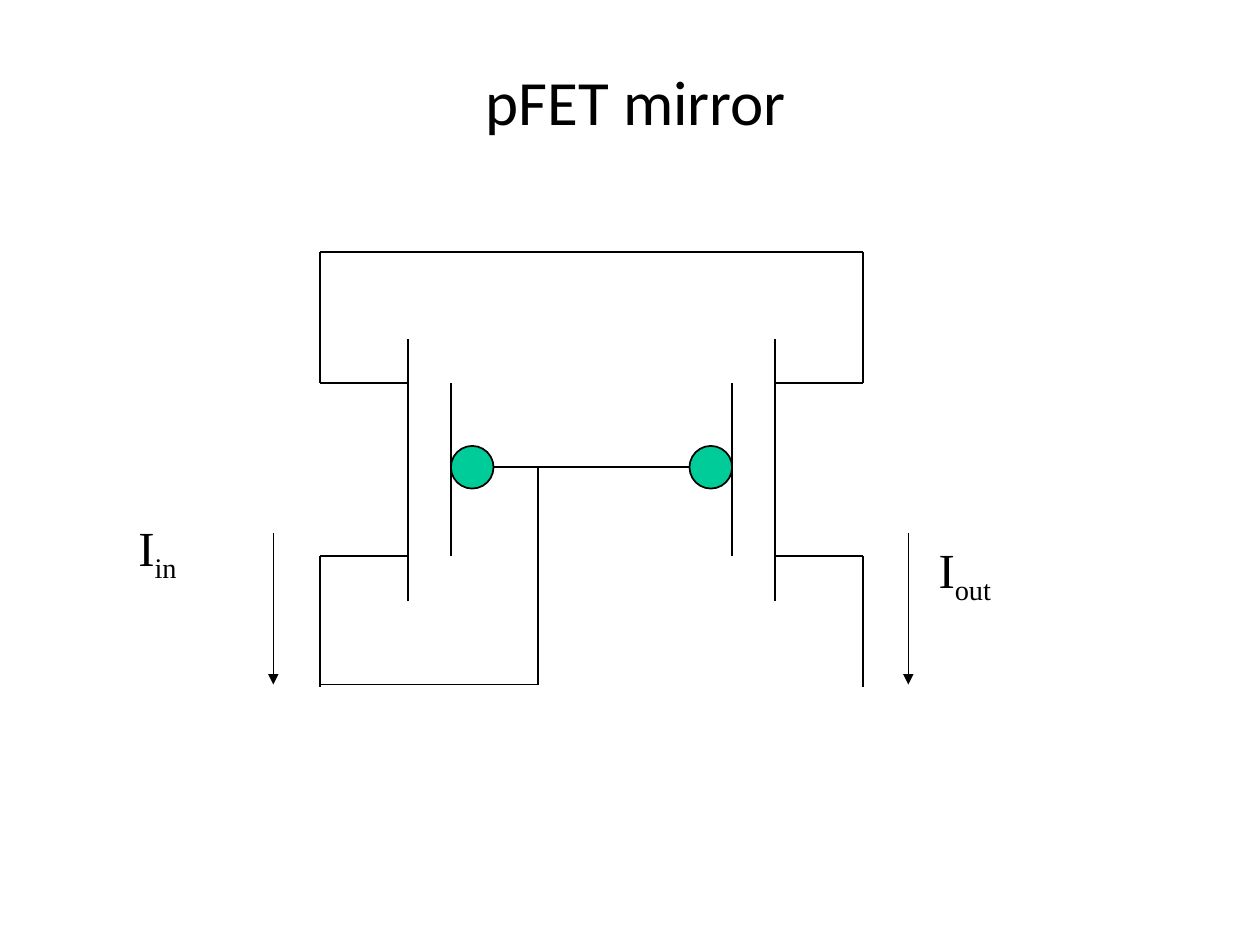
from lxml import etree
from pptx import Presentation
from pptx.dml.color import RGBColor
from pptx.enum.shapes import MSO_CONNECTOR, MSO_SHAPE
from pptx.enum.text import MSO_ANCHOR, PP_ALIGN
from pptx.oxml.ns import qn
from pptx.util import Cm, Pt

LINE = MSO_CONNECTOR.STRAIGHT
OVAL = MSO_SHAPE.OVAL
MIDDLE = MSO_ANCHOR.MIDDLE
CENTER = PP_ALIGN.CENTER
INK = {"black": "000000", "gate": "00CC99"}


def color(name):
    """Return the named colour."""
    return RGBColor.from_string(INK[name])


def style(font, face, size):
    """Set face, size and black ink on a font."""
    font.name, font.size = face, Pt(size)
    font.color.rgb = color("black")


def wire(slide, start, end, width=1, arrow=False):
    """Draw a straight wire between two points in centimetres."""
    line = slide.shapes.add_connector(LINE, *map(Cm, (*start, *end)))
    line.line.color.rgb = color("black")
    line.line.width = Pt(width)
    if arrow:
        etree.SubElement(line.line._get_or_add_ln(), qn("a:tailEnd"), type="triangle")
    etree.SubElement(line._element.spPr, qn("a:effectLst"))


def heading(slide, text, left, top, width, height):
    """Place and format the title."""
    title = slide.shapes.title
    title.left, title.top, title.width, title.height = map(Cm, (left, top, width, height))
    frame = title.text_frame
    frame.text = text
    frame.vertical_anchor = MIDDLE
    frame.paragraphs[0].alignment = CENTER
    style(frame.paragraphs[0].runs[0].font, "Calibri", 36)


def pfet(slide, left, top, side):
    """Draw a pFET inward from its outer edge; side is 1 or -1."""
    rail, body, gate, lead, end = (left + side * x for x in (0, 1.78, 2.64, 3.5, 4.39))
    head, source, mid, drain, foot, base = (
        top + y for y in (1.75, 2.64, 4.34, 6.13, 7.04, 8.76))
    wire(slide, (rail, source), (rail, top))
    wire(slide, (rail, source), (body, source))
    wire(slide, (body, foot), (body, head))
    wire(slide, (body, drain), (rail, drain))
    wire(slide, (rail, base), (rail, drain))
    wire(slide, (gate, drain), (gate, source))
    wire(slide, (lead, mid), (end, mid))
    size = abs(lead - gate)
    dot = slide.shapes.add_shape(
        OVAL, Cm(min(gate, lead)), Cm(mid - size / 2), Cm(size), Cm(size))
    dot.shadow.inherit = False
    dot.fill.solid()
    dot.fill.fore_color.rgb = color("gate")
    dot.line.color.rgb = color("black")
    dot.line.width = Pt(1)


def links(slide, left, top, right):
    """Join the two transistors by supply, gate and diode wires."""
    tap, mid, base = left + 4.39, top + 4.34, top + 8.72
    wire(slide, (right, top), (left, top))
    wire(slide, (tap, mid), (right - 4.39, mid))
    wire(slide, (tap, base), (tap, mid))
    wire(slide, (tap, base), (left, base))


def current(slide, name, left, top, width, arrow):
    """Label a current and draw its arrow at the given x."""
    wire(slide, (arrow, 10.75), (arrow, 13.8), 0.75, True)
    box = slide.shapes.add_textbox(Cm(left), Cm(top), Cm(width), Cm(2.97))
    box.text_frame.word_wrap = True
    para = box.text_frame.paragraphs[0]
    for text in ("I", name):
        run = para.add_run()
        run.text = text
        style(run.font, "Times New Roman", 28)
    run.font._element.set("baseline", "-25000")


def main():
    """Build the slide and save it."""
    deck = Presentation()
    deck.slide_width, deck.slide_height = Cm(25.4), Cm(19.05)
    slide = deck.slides.add_slide(deck.slide_layouts[5])
    left, top, right = 6.45, 5.08, 17.4
    heading(slide, "pFET mirror", 0.43, 0.43, 24.77, 3.18)
    pfet(slide, right, top, -1)
    pfet(slide, left, top, 1)
    links(slide, left, top, right)
    current(slide, "out", 18.67, 10.75, 3.91, 18.31)
    current(slide, "in", 2.54, 10.31, 3.48, 5.51)
    deck.save("out.pptx")


if __name__ == "__main__":
    main()
